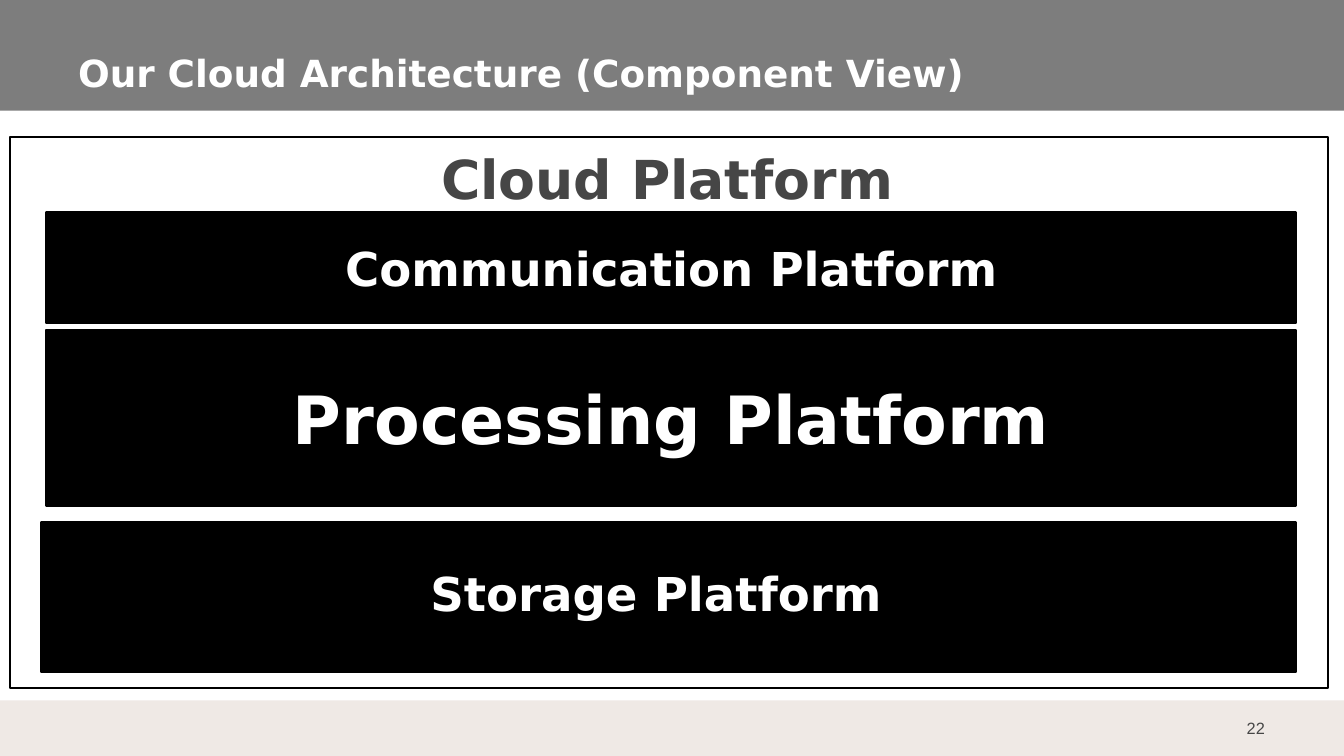
import pptx
import pptx.util
import pptx.dml.color
import pptx.enum.shapes
import pptx.enum.text

Cm = pptx.util.Cm
Pt = pptx.util.Pt
ALIGN = pptx.enum.text.PP_ALIGN
ANCHOR = pptx.enum.text.MSO_ANCHOR
SANS = "DejaVu Sans"


def tint(code):
    return pptx.dml.color.RGBColor.from_string(code)


def place(box, x, y, w, h):
    return box[0] + x, box[1] + y, w, h


def write(shape, text, size, color="FFFFFF", name=SANS, bold=True,
          align=ALIGN.CENTER, anchor=ANCHOR.MIDDLE):
    frame = shape.text_frame
    form = {"word_wrap": True, "vertical_anchor": anchor,
            "margin_left": Cm(0.36), "margin_right": Cm(0.36),
            "margin_top": Cm(0.18), "margin_bottom": Cm(0.18)}
    for key, value in form.items():
        setattr(frame, key, value)
    para = frame.paragraphs[0]
    para.alignment = align
    run = para.add_run()
    run.text = text
    for key, value in {"name": name, "size": Pt(size), "bold": bold}.items():
        setattr(run.font, key, value)
    run.font.color.rgb = tint(color)


def label(slide, box, text, size, **form):
    shape = slide.shapes.add_textbox(*map(Cm, box))
    write(shape, text, size, **form)


def block(slide, box, fill, line=None):
    kind = pptx.enum.shapes.MSO_SHAPE.RECTANGLE
    shape = slide.shapes.add_shape(kind, *map(Cm, box))
    shape.shadow.inherit = False
    shape.fill.solid()
    shape.fill.fore_color.rgb = tint(fill)
    if line:
        shape.line.color.rgb = tint(line)
        shape.line.width = Pt(2)
    else:
        shape.line.fill.background()
    return shape


def header(slide, box):
    block(slide, box, "7D7D7D")
    label(slide, place(box, 2, 1.17, 36.1, 1.88),
          "Our Cloud Architecture (Component View)", 32,
          align=ALIGN.LEFT, anchor=ANCHOR.BOTTOM)


def footer(slide, box):
    block(slide, box, "EFE9E5")
    label(slide, place(box, 36.58, 0.21, 2.03, 1.22), "22", 14,
          color="464646", name="Arial", bold=False, align=ALIGN.RIGHT)


def cloud(slide, box):
    block(slide, box, "FFFFFF", "000000")
    bars = [("Communication Platform", 40, 2.29, 3.33),
            ("Processing Platform", 57, 5.84, 5.31)]
    for text, size, top, tall in bars:
        bar = block(slide, place(box, 1.1, top, 37.8, tall),
                    "000000", "000000")
        write(bar, text, size)
    block(slide, place(box, 0.95, 11.66, 37.95, 4.52), "000000", "000000")
    label(slide, place(box, -0.3, 12.75, 39.67, 2.08),
          "Storage Platform", 40, anchor=ANCHOR.TOP)
    label(slide, place(box, 11.1, 0.1, 17.55, 2.34),
          "Cloud Platform", 46, color="464646", anchor=ANCHOR.TOP)


def main():
    deck = pptx.Presentation()
    deck.slide_width = Cm(40.64)
    deck.slide_height = Cm(22.86)
    slide = deck.slides.add_slide(deck.slide_layouts[6])
    header(slide, (0, 0, 40.64, 3.35))
    footer(slide, (0, 21.18, 40.64, 1.68))
    cloud(slide, (0.3, 4.14, 39.85, 16.66))
    deck.save("out.pptx")


if __name__ == "__main__":
    main()
